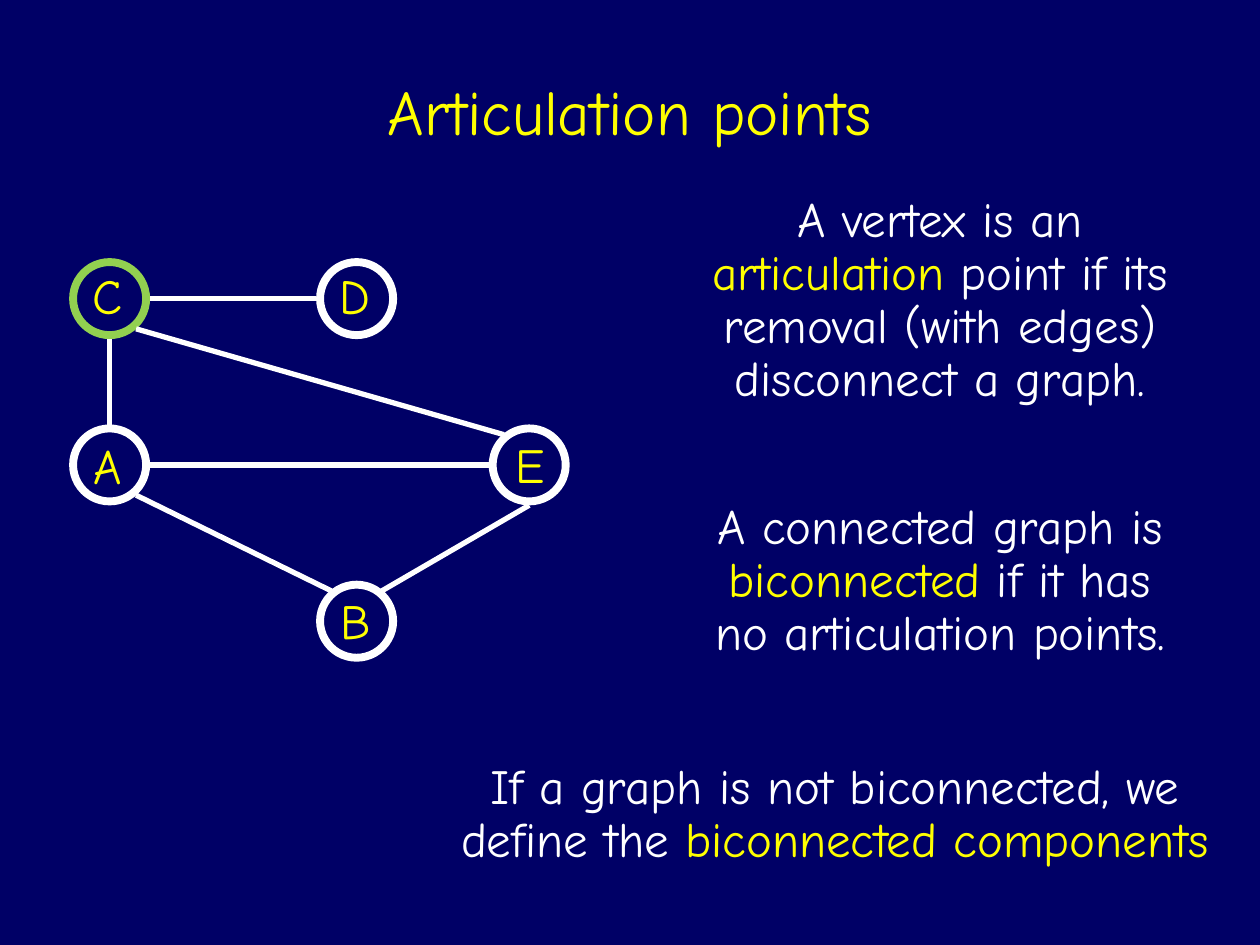
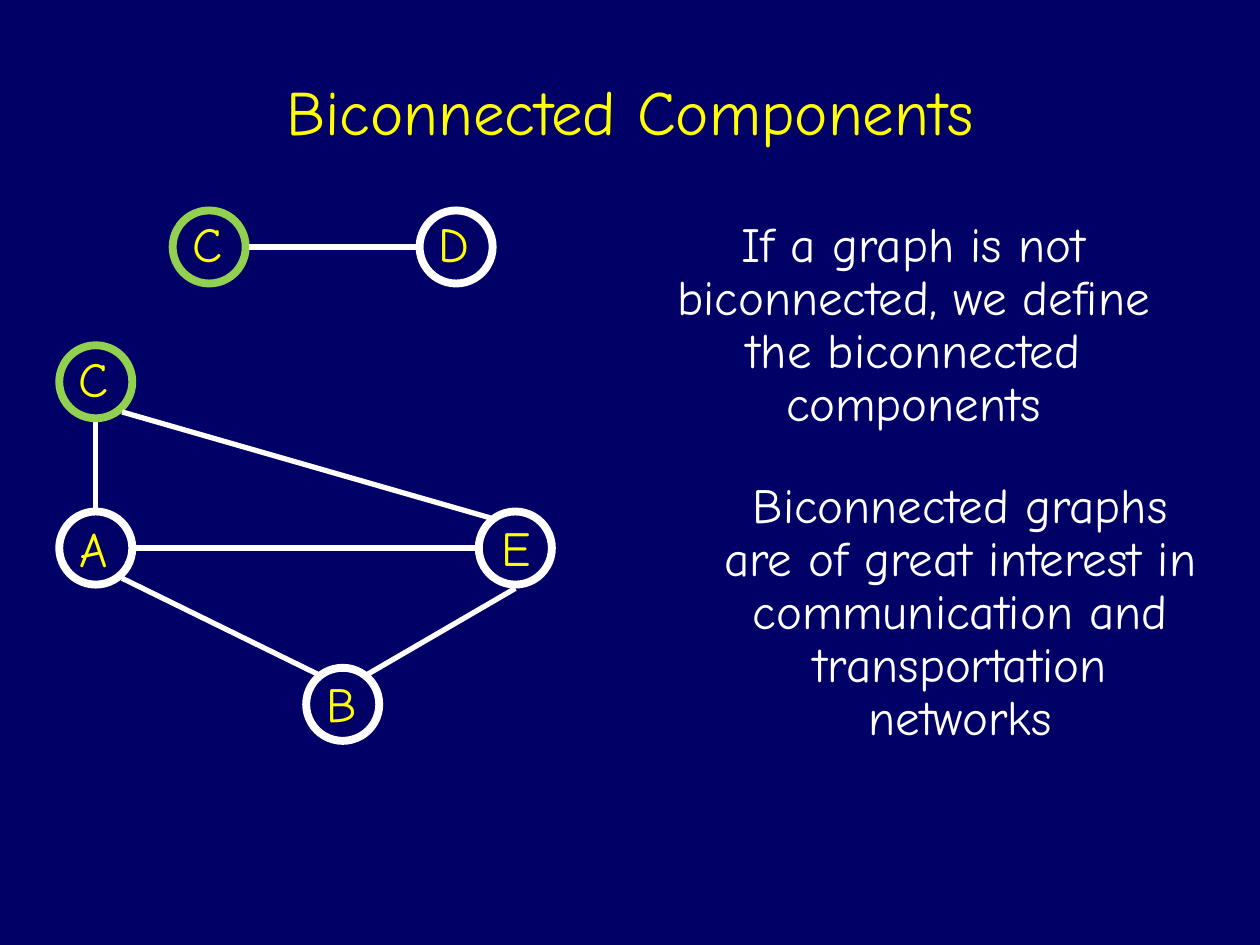
from lxml import etree
from pptx import Presentation
from pptx.dml.color import RGBColor
from pptx.enum.shapes import MSO_CONNECTOR, MSO_SHAPE
from pptx.enum.text import MSO_ANCHOR, MSO_AUTO_SIZE, PP_ALIGN
from pptx.oxml.ns import qn
from pptx.util import Inches, Pt

NAVY = RGBColor(0x00, 0x00, 0x66)
YELLOW = RGBColor(0xFF, 0xFF, 0x00)
WHITE = RGBColor(0xFF, 0xFF, 0xFF)
GREEN = RGBColor(0x92, 0xD0, 0x50)
FONT = "Comic Neue"

STRAIGHT = MSO_CONNECTOR.STRAIGHT
ELLIPSE = MSO_SHAPE.OVAL
CENTER = PP_ALIGN.CENTER
MIDDLE = MSO_ANCHOR.MIDDLE
GROW = MSO_AUTO_SIZE.SHAPE_TO_FIT_TEXT
TITLE_ONLY = 5

NODE_SIZE = 0.58
ARTICULATION_POINT = "C"
# Node corners, measured from the corner of node C
NODES = {"C": (0, 0), "D": (1.96, 0), "A": (0, 1.32),
         "B": (1.96, 2.56), "E": (3.33, 1.32)}
# Label corners, measured from the corner of their node
LABELS = {"C": (-0.15, 0.03), "D": (-0.15, 0.03), "A": (-0.15, 0.06),
          "B": (-0.14, 0.05), "E": (-0.13, 0.05)}
# Points on the outer rim of a node, measured from its corner
RIM = {"left": (-0.03, 0.29), "right": (0.61, 0.29),
       "top": (0.29, -0.03), "bottom": (0.29, 0.61),
       "upper left": (0.09, 0.05), "upper right": (0.49, 0.05),
       "lower right": (0.5, 0.53)}

PENDANT_EDGE = [("C", "right", "D", "left")]
CYCLE_EDGES = [("C", "bottom", "A", "top"),
               ("A", "right", "E", "left"),
               ("A", "lower right", "B", "upper left"),
               ("B", "upper right", "E", "bottom"),
               ("E", "upper left", "C", "lower right")]


def style_paragraph(para, size, color):
    para.alignment = CENTER
    para.font.name = FONT
    para.font.size = Pt(size)
    para.font.color.rgb = color


def tighten(para):
    """Set 90% line spacing and a space before of 20%."""
    para.line_spacing = 0.9
    before = etree.SubElement(para._p.get_or_add_pPr(), qn("a:spcBef"))
    etree.SubElement(before, qn("a:spcPct"), val="20000")


def add_page(deck, title):
    page = deck.slides.add_slide(deck.slide_layouts[TITLE_ONLY])
    box = page.shapes.title
    box.left, box.top = Inches(0.75), Inches(0.25)
    box.width, box.height = Inches(8.5), Inches(1.25)
    box.text_frame.text = title
    box.text_frame.vertical_anchor = MIDDLE
    style_paragraph(box.text_frame.paragraphs[0], 36, YELLOW)
    return page


def add_statement(page, left, top, width, height, *spans):
    """Add a centred text whose every second span is highlighted."""
    box = page.shapes.add_textbox(*map(Inches, (left, top, width, height)))
    frame = box.text_frame
    frame.word_wrap = True
    frame.auto_size = GROW
    para = frame.paragraphs[0]
    tighten(para)
    style_paragraph(para, 28, WHITE)
    for index, text in enumerate(spans):
        span = para.add_run()
        span.text = text
        span.font.color.rgb = YELLOW if index % 2 else WHITE


def add_node(page, name, left, top):
    circle = page.shapes.add_shape(ELLIPSE, Inches(left), Inches(top),
                                   Inches(NODE_SIZE), Inches(NODE_SIZE))
    circle.shadow.inherit = False
    circle.fill.background()
    circle.line.color.rgb = GREEN if name == ARTICULATION_POINT else WHITE
    circle.line.width = Pt(4.5)

    shift_x, shift_y = LABELS[name]
    label = page.shapes.add_textbox(Inches(left + shift_x), Inches(top + shift_y),
                                    Inches(0.85), Inches(0.52))
    frame = label.text_frame
    frame.word_wrap = False
    frame.auto_size = GROW
    frame.margin_left = frame.margin_right = Inches(0.3)
    frame.text = name
    para = frame.paragraphs[0]
    tighten(para)
    style_paragraph(para, 28, YELLOW)


def add_graph(page, left, top, names, edges):
    """Draw the named nodes and their edges, with node C at left, top."""
    def rim_point(name, side):
        return [Inches(start + node + rim) for start, node, rim
                in zip((left, top), NODES[name], RIM[side])]

    for name in names:
        x, y = NODES[name]
        add_node(page, name, left + x, top + y)
    for tail, tail_side, head, head_side in edges:
        edge = page.shapes.add_connector(
            STRAIGHT, *rim_point(tail, tail_side), *rim_point(head, head_side))
        edge.line.color.rgb = WHITE
        edge.line.width = Pt(3)
        etree.SubElement(edge._element.spPr, qn("a:effectLst"))


def add_articulation_page(deck):
    page = add_page(deck, "Articulation points")
    add_graph(page, 0.58, 2.08, "CDABE", PENDANT_EDGE + CYCLE_EDGES)
    add_statement(page, 5.42, 1.5, 4.08, 2.22, "A vertex is an ", "articulation",
                  " point if its removal (with edges) disconnect a graph.")
    add_statement(page, 5.42, 3.94, 4.08, 1.8, "A connected graph is ",
                  "biconnected", " if it has no articulation points.")
    add_statement(page, 3.5, 6, 6.25, 1.37,
                  "If a graph is not biconnected, we define the ",
                  "biconnected components")


def add_components_page(deck):
    page = add_page(deck, "Biconnected Components")
    add_graph(page, 1.37, 1.67, "CD", PENDANT_EDGE)
    add_graph(page, 0.47, 2.74, "CABE", CYCLE_EDGES)
    add_statement(page, 5, 1.7, 4.5, 1.8, "If a graph is not biconnected, "
                  "we define the biconnected components")
    add_statement(page, 5.58, 3.77, 4.08, 2.22,
                  "Biconnected graphs are of great interest in "
                  "communication and transportation networks")


def main():
    deck = Presentation()
    deck.slide_width, deck.slide_height = Inches(10), Inches(7.5)
    background = deck.slide_master.background.fill
    background.solid()
    background.fore_color.rgb = NAVY
    add_articulation_page(deck)
    add_components_page(deck)
    deck.save("out.pptx")


if __name__ == "__main__":
    main()
